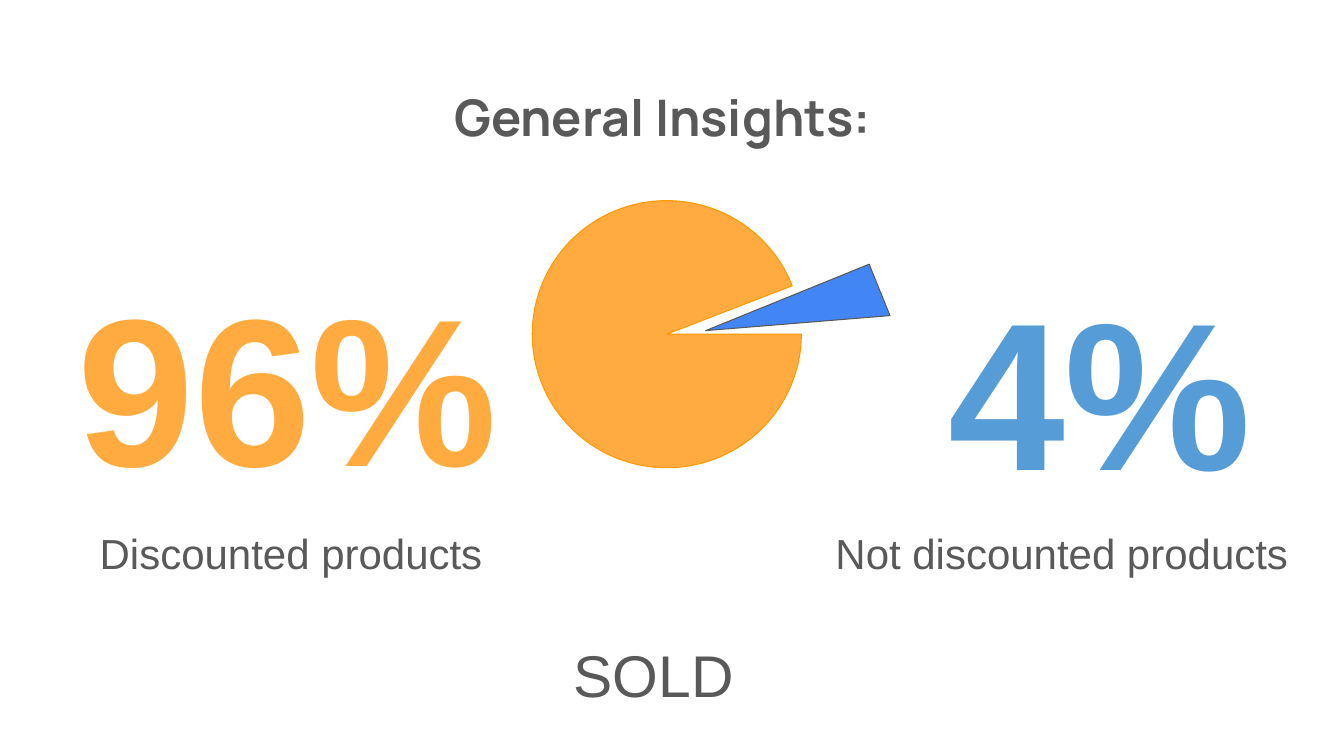
"""Build the General Insights slide on discounted and not discounted products sold."""
from dataclasses import dataclass

from pptx import Presentation
from pptx.dml.color import RGBColor as Rgb
from pptx.enum.shapes import MSO_SHAPE as Shape
from pptx.enum.text import MSO_ANCHOR as Anchor, PP_ALIGN as Align
from pptx.util import Pt


@dataclass(frozen=True)
class Theme:
    """Colours, fonts and type sizes."""
    ink: str = "595959"
    orange: str = "FFAB40"
    orange_edge: str = "FF9900"
    sky: str = "569CD6"
    blue: str = "4285F4"
    heading_font: str = "Manrope"
    body_font: str = "Arial"
    heading: int = 36
    figure: int = 150
    label: int = 30
    footer: int = 42


THEME = Theme()
HEADING = ("General Insights:", (280.8, 57.6, 385.2, 51.1))
FIGURES = [
    ("96%", (48.2, 175.7, 379.4, 182.2), THEME.orange),
    ("4%", (670.1, 178.6, 254.4, 182.2), THEME.sky),
]
LABELS = [
    ("Discounted products", (64.1, 369.4, 363.6, 51.1), Align.LEFT),
    ("Not discounted products", (576.7, 369.4, 363.6, 51.1), Align.CENTER),
]
FOOTER = ("SOLD", (316.8, 449.3, 300.2, 65.5))
PIE_BOX = (380.2, 143.3, 192.2, 190.8)
PIE_END_DEGREES = 338.91
WEDGE_BOX = (506.9, 211, 126, 39.6)
WEDGE_TURN = 157.9

deck = Presentation()
deck.slide_width, deck.slide_height = Pt(960), Pt(540)
slide = deck.slides.add_slide(deck.slide_layouts[6])


def add_text(text, box, *, size, color=THEME.ink, font=THEME.body_font,
             bold=False, align=Align.LEFT, anchor=Anchor.TOP, inset=7.2):
    """Place one line of formatted text."""
    frame = slide.shapes.add_textbox(*map(Pt, box)).text_frame
    frame.word_wrap = True
    frame.vertical_anchor = anchor
    frame.margin_left = frame.margin_right = Pt(7.2)
    frame.margin_top = frame.margin_bottom = Pt(inset)
    paragraph = frame.paragraphs[0]
    paragraph.alignment = align
    run = paragraph.add_run()
    run.text = text
    run.font.name, run.font.size, run.font.bold = font, Pt(size), bold
    run.font.color.rgb = Rgb.from_string(color)


def add_slice(kind, box, fill, edge):
    """Place one filled and outlined piece of the pie."""
    piece = slide.shapes.add_shape(kind, *map(Pt, box))
    piece.shadow.inherit = False
    piece.fill.solid()
    piece.fill.fore_color.rgb = Rgb.from_string(fill)
    piece.line.color.rgb = Rgb.from_string(edge)
    piece.line.width = Pt(0.75)
    return piece


add_text(*HEADING, size=THEME.heading, font=THEME.heading_font, bold=True,
         align=Align.CENTER, anchor=Anchor.MIDDLE, inset=3.6)
for figure, box, color in FIGURES:
    add_text(figure, box, size=THEME.figure, color=color, bold=True)
for label, box, align in LABELS:
    add_text(label, box, size=THEME.label, align=align)
add_text(*FOOTER, size=THEME.footer, align=Align.CENTER)

discounted = add_slice(Shape.PIE, PIE_BOX, THEME.orange, THEME.orange_edge)
discounted.adjustments[0] = 0
discounted.adjustments[1] = PIE_END_DEGREES * 0.6
not_discounted = add_slice(Shape.RIGHT_TRIANGLE, WEDGE_BOX, THEME.blue, THEME.ink)
not_discounted.rotation = WEDGE_TURN

deck.save("out.pptx")
